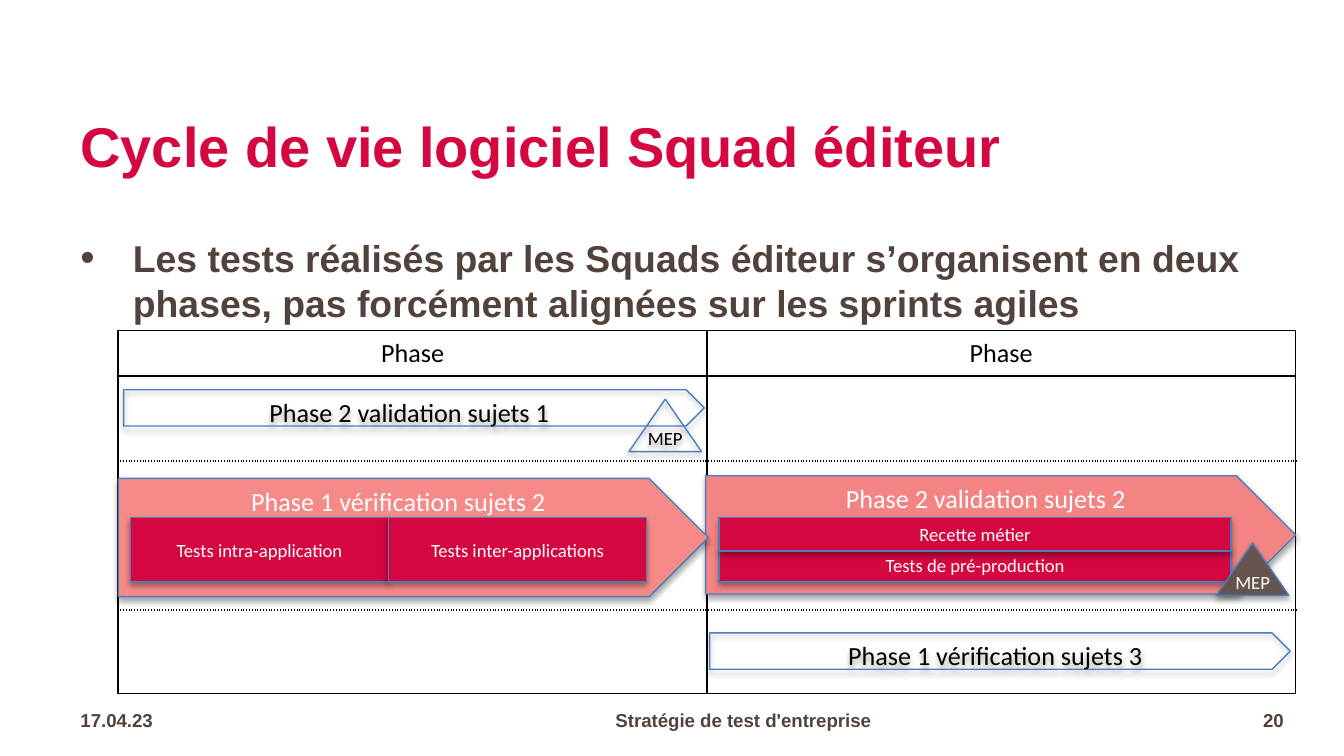
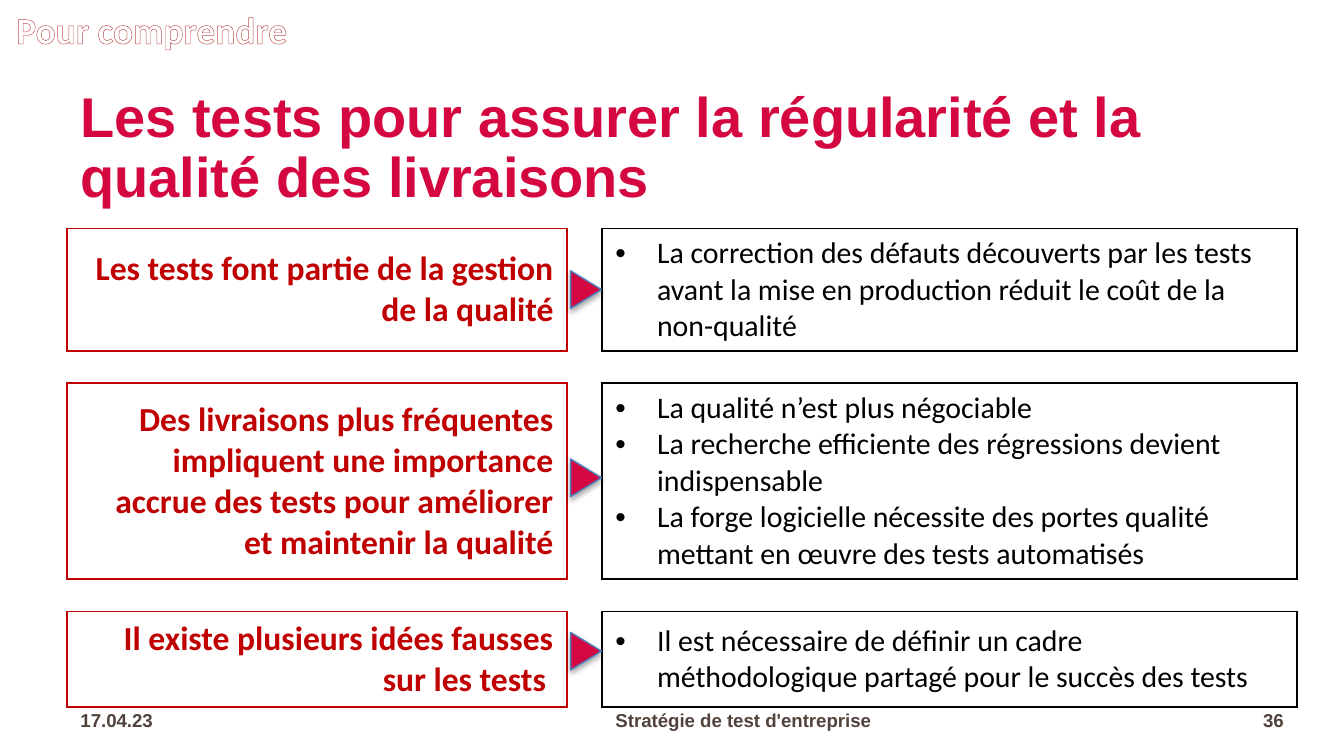
import pptx
import pptx.util
import pptx.dml.color
import pptx.enum.shapes
import pptx.enum.text
import pptx.oxml
import pptx.oxml.ns

PX = 9144
PAGE_WIDTH = 1000
RED, DARK_RED, BROWN, TAUPE = "D40740", "C00000", "52423C", "65544E"
BLACK, WHITE, BLUE, OUTLINE = "000000", "FFFFFF", "4B7EBC", "C0504D"
SALMON, LIGHT_SALMON, CRIMSON = "F48483", "F68A88", "D50740"

DATE = "17.04.23"
FOOTER = "Stratégie de test d'entreprise"
FOOTER_TOP, FOOTER_HEIGHT = 521, 30
TITLE_AREA = (50, 59, 915, 104)

CYCLE_TITLE = "Cycle de vie logiciel Squad éditeur"
CYCLE_INTRO = ("Les tests réalisés par les Squads éditeur s’organisent en deux phases, "
               "pas forcément alignées sur les sprints agiles")
CYCLE_HEADS = ["Phase", "Phase"]
CYCLE_COLUMNS = [438, 438]
CYCLE_ROWS = [34, 63, 111, 62]

ARROW = dict(kind="PENTAGON", size=14, anchor="TOP")
TEST = dict(kind="RECTANGLE", fill=CRIMSON, color=WHITE)
RELEASE = dict(kind="FLOWCHART_EXTRACT", margin=0)
CYCLE_PARTS = [
    ("Phase 2 validation sujets 2", (525, 354, 439, 88), dict(ARROW, fill=SALMON, color=WHITE)),
    ("Phase 2 validation sujets 1", (92, 290, 432, 27), ARROW),
    ("MEP", (468, 297, 54, 39), RELEASE),
    ("Phase 1 vérification sujets 3", (528, 471, 432, 27), ARROW),
    ("Phase 1 vérification sujets 2", (88, 356, 439, 88), dict(ARROW, fill=LIGHT_SALMON, color=WHITE)),
    ("Tests intra-application", (97, 385, 192, 48), TEST),
    ("Tests inter-applications", (289, 385, 192, 48), TEST),
    ("Tests de pré-production", (535, 408, 381, 25), TEST),
    ("Recette métier", (535, 385, 381, 25), TEST),
    ("MEP", (905, 404, 54, 39), dict(RELEASE, fill=TAUPE, color=WHITE)),
]

QUALITY_TAG = "Pour comprendre"
QUALITY_TITLE = "Les tests pour assurer la régularité et la qualité des livraisons"
QUALITY_COLUMNS = [372, 26, 517]
QUALITY_GAP = 24
QUALITY_ROWS = [
    (91, 204, "Les tests font partie de la gestion de la qualité",
     ["La correction des défauts découverts par les tests avant la mise en production "
      "réduit le coût de la non-qualité"]),
    (146, 344, "Des livraisons plus fréquentes impliquent une importance accrue des tests "
     "pour améliorer et maintenir la qualité",
     ["La qualité n’est plus négociable",
      "La recherche efficiente des régressions devient indispensable",
      "La forge logicielle nécessite des portes qualité mettant en œuvre des tests automatisés"]),
    (71, 473, "Il existe plusieurs idées fausses sur les tests ",
     ["Il est nécessaire de définir un cadre méthodologique partagé pour le succès des tests"]),
]


def scale(*lengths):
    return [pptx.util.Emu(length * PX) for length in lengths]


def paint(fill, color):
    if color:
        fill.solid()
        fill.fore_color.rgb = pptx.dml.color.RGBColor.from_string(color)
    else:
        fill.background()


def add_xml(parent, tag, body="", index=None, **attributes):
    fields = "".join(f' {name}="{value}"' for name, value in attributes.items())
    node = pptx.oxml.parse_xml(
        f'<a:{tag} {pptx.oxml.ns.nsdecls("a")}{fields}>{body}</a:{tag}>')
    parent.insert(len(parent) if index is None else index, node)
    return node


def solid(color):
    return f'<a:solidFill><a:srgbClr val="{color}"/></a:solidFill>'


def write(frame, texts, size=10, font="Calibri", color=BLACK, bold=False, align="LEFT",
          spacing=None, before=None, bullet=0, bullet_size=100, outline=None):
    for number, text in enumerate(texts):
        para = frame.add_paragraph() if number else frame.paragraphs[0]
        para.alignment = getattr(pptx.enum.text.PP_ALIGN, align)
        if spacing:
            para.line_spacing = spacing
        if before:
            para.space_before = pptx.util.Pt(before)
        if bullet:
            properties = para._p.get_or_add_pPr()
            properties.set("marL", str(bullet * PX))
            properties.set("indent", str(-bullet * PX))
            add_xml(properties, "buSzPct", val=bullet_size * 1000)
            add_xml(properties, "buFont", typeface="Arial")
            add_xml(properties, "buChar", char="•")
        span = para.add_run()
        span.text = text
        span.font.size = pptx.util.Pt(size)
        span.font.name = font
        span.font.bold = bold
        paint(span.font.fill, color)
        if outline:
            add_xml(span._r.get_or_add_rPr(), "ln", solid(outline), index=0,
                    w=pptx.util.Pt(0.52))


def add_text(page, area, texts, anchor="MIDDLE", **style):
    box = page.shapes.add_textbox(*scale(*area))
    frame = box.text_frame
    frame.word_wrap = True
    frame.vertical_anchor = getattr(pptx.enum.text.MSO_ANCHOR, anchor)
    write(frame, texts, **style)
    return frame


def add_part(page, text, area, kind, fill=None, anchor="MIDDLE", margin=None, **style):
    part = page.shapes.add_shape(
        getattr(pptx.enum.shapes.MSO_SHAPE, kind), *scale(*area))
    part.shadow.inherit = False
    paint(part.fill, fill)
    paint(part.line.fill, BLUE)
    part.line.width = pptx.util.Pt(0.75)
    effects = part._element.spPr.find(pptx.oxml.ns.qn("a:effectLst"))
    add_xml(effects, "outerShdw",
            f'<a:srgbClr val="{BLACK}"><a:alpha val="35000"/></a:srgbClr>',
            blurRad=pptx.util.Pt(3.1), dist=pptx.util.Pt(1.8), dir=90 * 60000, rotWithShape=0)
    frame = part.text_frame
    frame.word_wrap = True
    frame.vertical_anchor = getattr(pptx.enum.text.MSO_ANCHOR, anchor)
    if margin is not None:
        frame.margin_left = frame.margin_right = margin
        frame.margin_top = frame.margin_bottom = margin
    if text:
        write(frame, [text], align="CENTER", **style)
    return part


def set_borders(cell, borders):
    properties = cell._tc.get_or_add_tcPr()
    for side in "LRTB":
        color, dash = borders.get(side, (None, None))
        body = solid(color) + f'<a:prstDash val="{dash}"/>' if color else "<a:noFill/>"
        add_xml(properties, "ln" + side, body, w=pptx.util.Pt(1))


def edges(sides, color, dash="solid"):
    return {side: (color, dash) for side in sides}


def add_grid(page, left, top, columns, heights, rows):
    area = scale(left, top, sum(columns), sum(heights))
    table = page.shapes.add_table(len(heights), len(columns), *area).table
    table.first_row = table.horz_banding = False
    for column, width in zip(table.columns, scale(*columns)):
        column.width = width
    for row, height, contents in zip(table.rows, scale(*heights), rows):
        row.height = height
        for cell, (texts, style, borders) in zip(row.cells, contents):
            set_borders(cell, borders)
            paint(cell.fill, None)
            if texts:
                cell.vertical_anchor = pptx.enum.text.MSO_ANCHOR.MIDDLE
                write(cell.text_frame, texts, **style)
            else:
                cell.margin_top = cell.margin_bottom = 0
                add_xml(cell.text_frame.paragraphs[0]._p, "endParaRPr", sz=800)


def add_page(deck, title, number):
    page = deck.slides.add_slide(deck.slide_layouts[6])
    add_text(page, TITLE_AREA, [title], size=30, font="Arial", color=RED, bold=True, spacing=0.9)
    for text, left, width, align in [(DATE, 50, 142, "LEFT"), (FOOTER, 195, 716, "CENTER"),
                                     (number, 913, 52, "RIGHT")]:
        add_text(page, (left, FOOTER_TOP, width, FOOTER_HEIGHT), [text],
                 font="Arial", color=BROWN, bold=True, align=align)
    return page


def build_cycle(deck):
    page = add_page(deck, CYCLE_TITLE, "20")
    add_text(page, (50, 170, 915, 343), [CYCLE_INTRO], anchor="TOP", size=20, font="Arial",
             color=BROWN, bold=True, before=24, bullet=39, bullet_size=110)
    head = dict(size=14, align="CENTER")
    rows = [[([text], head, edges("LRTB", BLACK)) for text in CYCLE_HEADS]]
    for top, bottom in [("solid", "sysDot"), ("sysDot", "sysDot"), ("sysDot", "solid")]:
        borders = edges("LR", BLACK) | edges("T", BLACK, top) | edges("B", BLACK, bottom)
        rows.append([([], {}, borders)] * len(CYCLE_COLUMNS))
    add_grid(page, 88, 246, CYCLE_COLUMNS, CYCLE_ROWS, rows)
    for text, area, style in CYCLE_PARTS:
        add_part(page, text, area, **style)


def build_quality(deck):
    page = add_page(deck, QUALITY_TITLE, "36")
    claim_style = dict(size=18, color=DARK_RED, bold=True, align="RIGHT")
    reason_style = dict(size=16, bullet=31)
    heights, rows = [], []
    for height, _, claim, reasons in QUALITY_ROWS:
        if rows:
            heights.append(QUALITY_GAP)
            rows.append([([], {}, edges("TB", DARK_RED)), ([], {}, {}),
                         ([], {}, edges("TB", BLACK))])
        heights.append(height)
        rows.append([([claim], claim_style, edges("LRTB", DARK_RED)),
                     ([], {}, edges("L", DARK_RED) | edges("R", BLACK)),
                     (reasons, reason_style, edges("LRTB", BLACK))])
    add_grid(page, 50, 170, QUALITY_COLUMNS, heights, rows)
    for _, pointer_top, _, _ in QUALITY_ROWS:
        pointer = add_part(page, "", (422, pointer_top, 28, 23), "ISOSCELES_TRIANGLE", fill=RED)
        pointer.rotation = 90
    tag = add_text(page, (0, 0, 226, 44), [QUALITY_TAG], anchor="TOP", size=20, color=WHITE,
                   bold=True, align="CENTER", outline=OUTLINE)
    tag.auto_size = pptx.enum.text.MSO_AUTO_SIZE.SHAPE_TO_FIT_TEXT


def main():
    deck = pptx.Presentation()
    deck.slide_width, = scale(PAGE_WIDTH)
    deck.slide_height = deck.slide_width * 9 // 16
    build_cycle(deck)
    build_quality(deck)
    deck.save("out.pptx")


if __name__ == "__main__":
    main()
